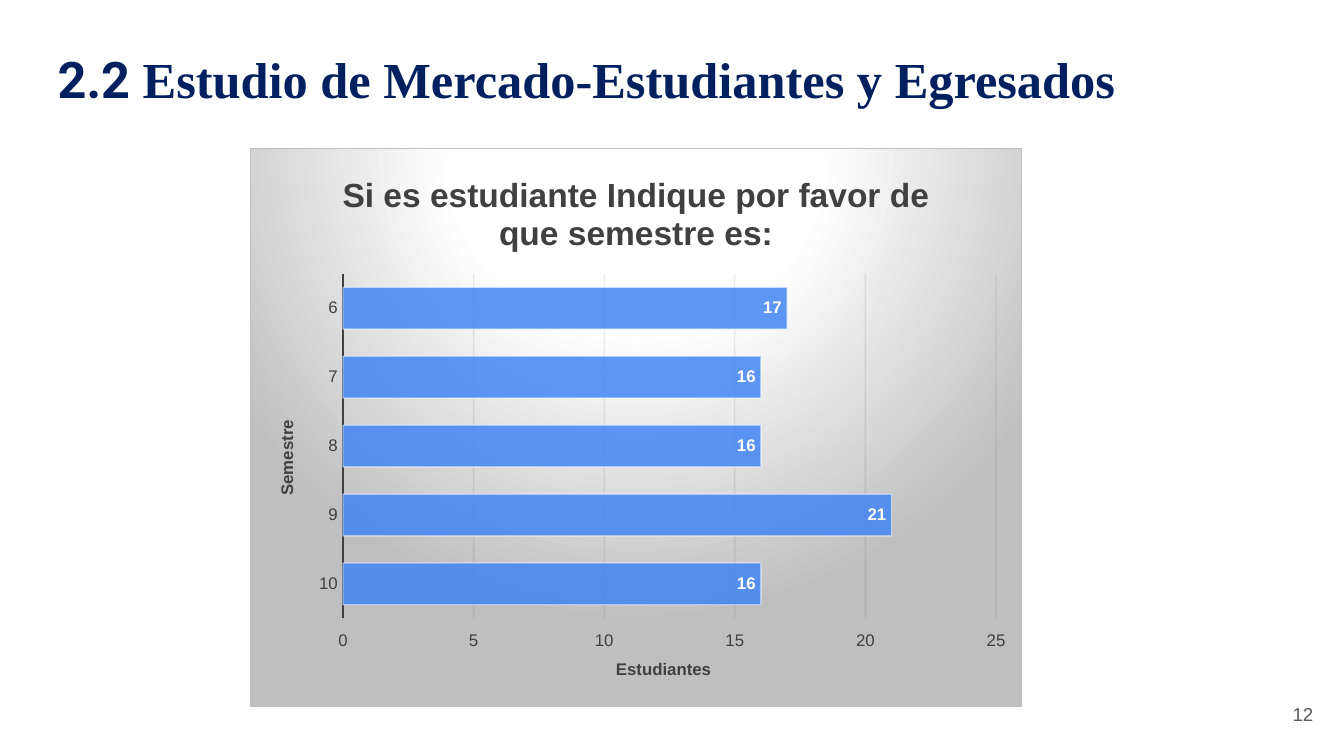
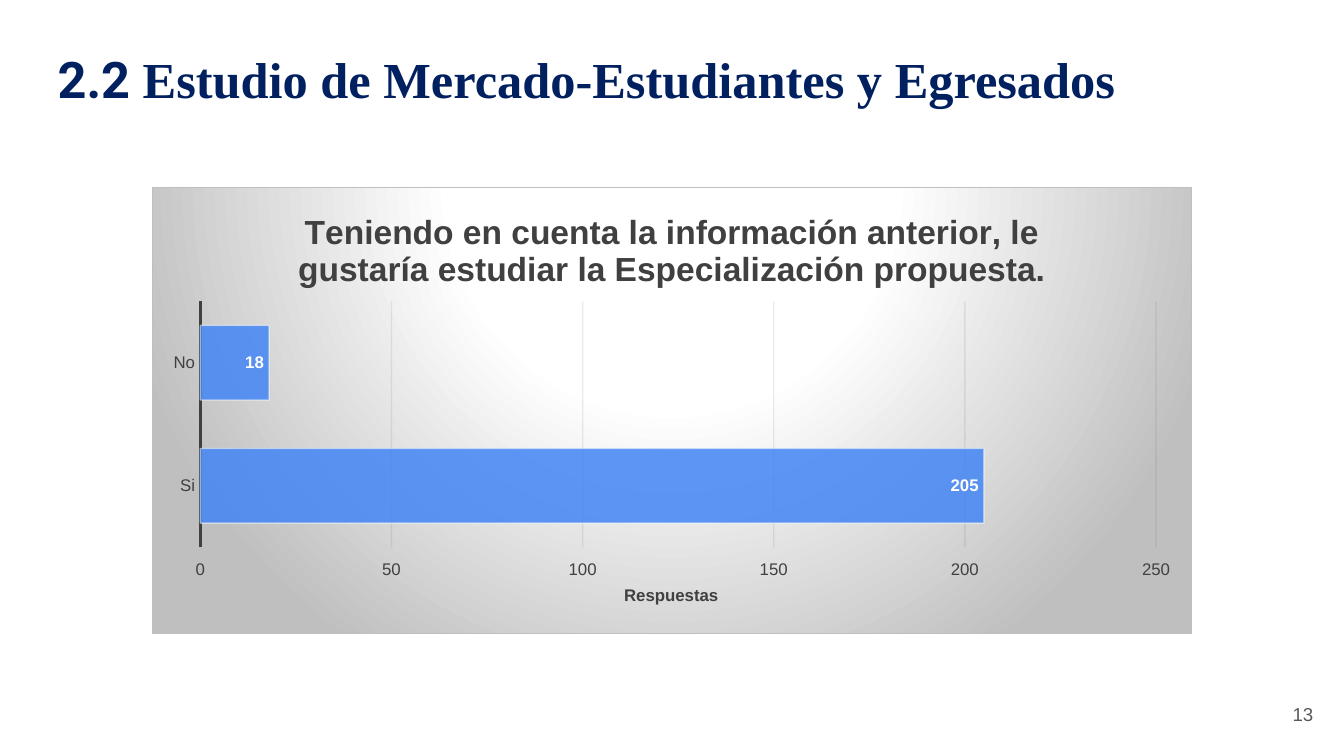
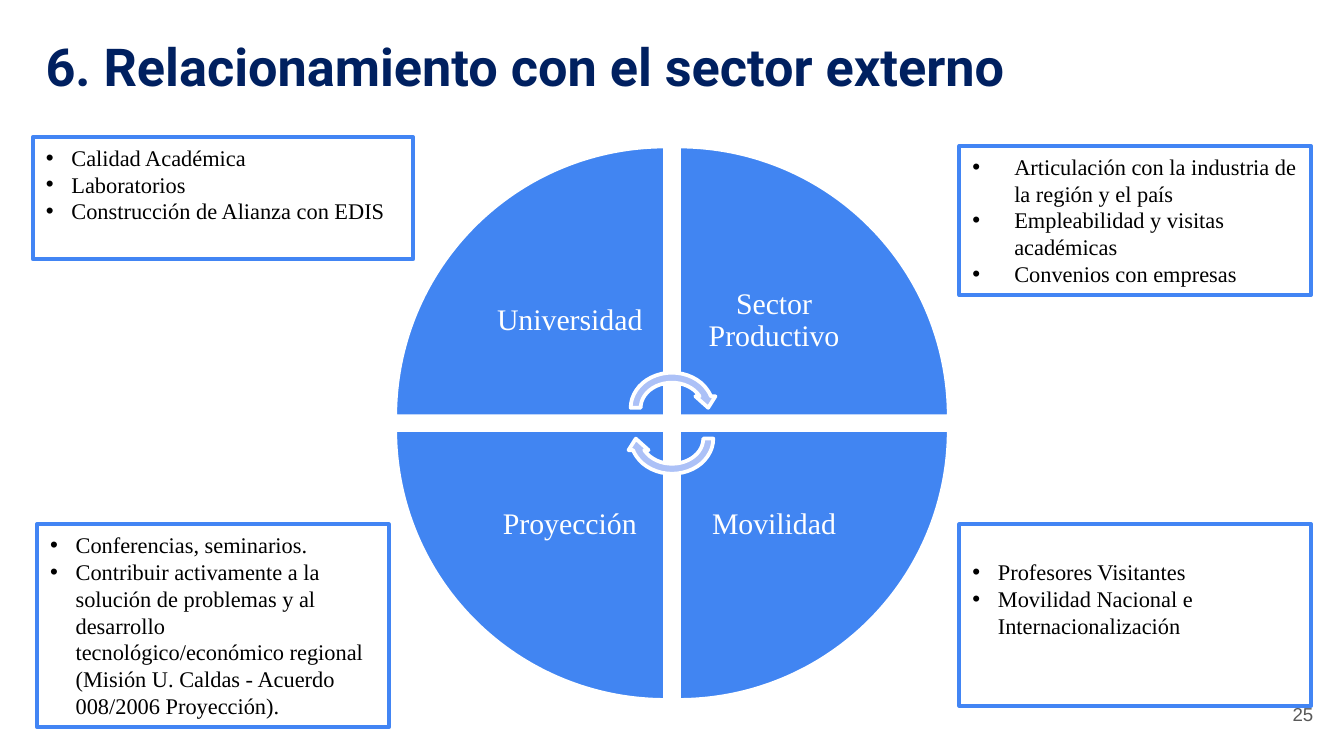
from lxml import etree
from pptx import Presentation
from pptx.chart.data import CategoryChartData
from pptx.dml.color import RGBColor
from pptx.enum.chart import (XL_CHART_TYPE, XL_LABEL_POSITION, XL_TICK_MARK,
                             XL_TICK_LABEL_POSITION)
from pptx.enum.shapes import MSO_SHAPE
from pptx.enum.text import MSO_ANCHOR, MSO_AUTO_SIZE, PP_ALIGN
from pptx.oxml import parse_xml
from pptx.oxml.ns import nsdecls, qn
from pptx.util import Cm, Pt

# Shared style
NAVY = RGBColor(0x00, 0x20, 0x60)
BLUE = RGBColor(0x42, 0x85, 0xF4)
WEDGE = RGBColor(0x41, 0x85, 0xF2)
PALE = RGBColor(0xAC, 0xC1, 0xF7)
WHITE = RGBColor(0xFF, 0xFF, 0xFF)
BLACK = RGBColor(0x00, 0x00, 0x00)
DARK = RGBColor(0x40, 0x40, 0x40)
GREY = RGBColor(0x59, 0x59, 0x59)
GRID = RGBColor(0x0D, 0x0D, 0x0D)
SERIF, SANS, HEAD = "Times New Roman", "Arial", "Roboto"

# Content: lengths in cm, chart layouts in percent of the chart
STUDY = [("2.2 ", HEAD), ("Estudio de Mercado-Estudiantes y Egresados", SERIF)]
CHARTS = [
    dict(page="12", at=(4.72, 2.79, 14.6, 10.57),
         title="Si es estudiante Indique por favor de que semestre es:",
         data={"6": 17, "7": 16, "8": 16, "9": 21, "10": 16},
         plot=(12, 22.5, 84.7, 61.8), top=25, step=5,
         side=("Semestre", (2.9, 48.2)), foot=("Estudiantes", (47, 90.9))),
    dict(page="13", at=(2.87, 3.53, 19.66, 8.46),
         title="Teniendo en cuenta la información anterior, le gustaría "
               "estudiar la Especialización propuesta.",
         data={"No": 18, "Si": 205},
         plot=(4.6, 25.5, 92, 55.2), top=250, step=50,
         side=None, foot=("Respuestas", (45.1, 88.2))),
]
LINKS = [("6. Relacionamiento con el sector externo", HEAD)]
# Clockwise from the upper left, with the side of the hub
PARTS = [("Universidad", -1, -1), ("Sector Productivo", 1, -1),
         ("Movilidad", 1, 1), ("Proyección", -1, 1)]
# Place, bullet indent, top inset, items
NOTES = [
    ((18.13, 2.76, 6.65, 2.82), 0.79, 0.13,
     ["Articulación con la industria de la región y el país",
      "Empleabilidad y visitas académicas", "Convenios con empresas"]),
    ((0.62, 2.59, 7.19, 2.31), 0.48, 0.13,
     ["Calidad Académica", "Laboratorios", "Construcción de Alianza con EDIS"]),
    ((0.7, 9.91, 6.65, 3.84), 0.48, 0.13,
     ["Conferencias, seminarios.",
      "Contribuir activamente a la solución de problemas y al desarrollo "
      "tecnológico/económico regional (Misión U. Caldas - Acuerdo 008/2006 "
      "Proyección)."]),
    ((18.13, 9.91, 6.65, 3.43), 0.48, 0.65,
     ["Profesores Visitantes", "Movilidad Nacional e Internacionalización"]),
]

# Wheel geometry
HUB = (12.7, 8.0)
GAP, RAD, SIDE = 0.13, 5.1, 3.6
TURN = (1.75, 1.52)
DROP = 0.29


def say(par, text, font=SANS, size=9, color=DARK, bold=False,
        align=None, space=None, dent=None):
    """Add a run to a paragraph and format both."""
    if dent:
        props = par._p.get_or_add_pPr()
        props.set("marL", str(Cm(dent)))
        props.set("indent", str(-Cm(dent)))
        etree.SubElement(props, qn("a:buFont")).set("typeface", SANS)
        etree.SubElement(props, qn("a:buChar")).set("char", "•")
    if align is not None:
        par.alignment = align
    if space:
        par.line_spacing = space
    run = par.add_run()
    run.text = text
    run.font.name, run.font.size, run.font.bold = font, Pt(size), bold
    run.font.color.rgb = color


def frame(shape, side=0.25, top=0.25, anchor=MSO_ANCHOR.TOP):
    """Set up the text frame of a shape and return it."""
    body = shape.text_frame
    body.word_wrap, body.auto_size = True, MSO_AUTO_SIZE.NONE
    body.vertical_anchor = anchor
    body.margin_left = body.margin_right = Cm(side)
    body.margin_top, body.margin_bottom = Cm(top), Cm(min(side, top))
    return body


def area(at):
    return [Cm(n) for n in at]


def draw(slide, kind, at, fill, edge, turn=0):
    """Add a preset shape with fill and outline."""
    shape = slide.shapes.add_shape(kind, *area(at))
    shape.rotation = turn
    shape.shadow.inherit = False
    shape.fill.solid()
    shape.fill.fore_color.rgb = fill
    shape.line.color.rgb, shape.line.width = edge, Pt(2)
    return shape


def start(deck, title, at, size, inset):
    """Add a slide with its title."""
    slide = deck.slides.add_slide(deck.slide_layouts[5])
    head = slide.shapes.title
    head.left, head.top, head.width, head.height = area(at)
    par = frame(head, top=inset).paragraphs[0]
    for text, font in title:
        say(par, text, font, size, NAVY, True, PP_ALIGN.LEFT)
    return slide


def number(slide, page):
    box = slide.shapes.add_textbox(*area((23.55, 12.95, 1.52, 1.09)))
    say(frame(box, anchor=MSO_ANCHOR.MIDDLE).paragraphs[0], page,
        size=10, color=GREY, align=PP_ALIGN.RIGHT)


# Charts
def fade(node, share):
    for color in node.iter(qn("a:srgbClr")):
        etree.SubElement(color, qn("a:alpha")).set("val", str(share * 1000))


def place(node, at, index):
    """Give a chart part a fixed layout."""
    for old in node.findall(qn("c:layout")):
        node.remove(old)
    layout = etree.Element(qn("c:layout"))
    manual = etree.SubElement(layout, qn("c:manualLayout"))
    pairs = [("xMode", "edge"), ("yMode", "edge"),
             *((key, round(n / 100, 3)) for key, n in zip("xywh", at))]
    if len(at) == 4:
        pairs.insert(0, ("layoutTarget", "inner"))
    for tag, val in pairs:
        etree.SubElement(manual, qn("c:" + tag)).set("val", str(val))
    node.insert(index, layout)


def name(axis, label, turn):
    text, at = label
    body = axis.axis_title.text_frame
    body._txBody.bodyPr.set("rot", str(turn * 60000))
    say(body.paragraphs[0], text, bold=True)
    place(axis.axis_title._element, at, 1)


def backdrop(chart):
    stops = "".join(f'<a:gs pos="{pos}000"><a:srgbClr val="{tint}"/></a:gs>'
                    for pos, tint in [(0, "FFFFFF"), (39, "FFFFFF"), (100, "BFBFBF")])
    chart._chartSpace.find(qn("c:chart")).addnext(parse_xml(
        f'<c:spPr {nsdecls("c", "a")}><a:gradFill><a:gsLst>{stops}</a:gsLst>'
        '<a:path path="circle"><a:fillToRect l="50000" t="-80000" r="50000" '
        'b="180000"/></a:path></a:gradFill><a:ln w="9525"><a:solidFill>'
        '<a:srgbClr val="BFBFBF"/></a:solidFill></a:ln></c:spPr>'))


def graph(slide, item):
    data = CategoryChartData()
    data.categories = list(item["data"])
    data.add_series("Series 1", list(item["data"].values()))
    chart = slide.shapes.add_chart(
        XL_CHART_TYPE.BAR_CLUSTERED, *area(item["at"]), data).chart
    chart.font.name, chart.font.size, chart.font.color.rgb = SANS, Pt(10), BLACK
    chart.has_legend = False
    say(chart.chart_title.text_frame.paragraphs[0], item["title"],
        size=18, bold=True)
    backdrop(chart)

    # Axes
    cat, val = chart.category_axis, chart.value_axis
    for axis in (cat, val):
        axis.major_tick_mark = axis.minor_tick_mark = XL_TICK_MARK.NONE
        font = axis.tick_labels.font
        font.name, font.size, font.color.rgb = SANS, Pt(9), DARK
    cat.reverse_order = True
    val.tick_label_position = XL_TICK_LABEL_POSITION.HIGH
    cat.format.line.color.rgb, cat.format.line.width = DARK, Pt(1.5)
    val.format.line.fill.background()
    val.minimum_scale, val.maximum_scale = 0, item["top"]
    val.major_unit = item["step"]
    grid = val.major_gridlines.format.line
    grid.color.rgb, grid.width = GRID, Pt(0.75)
    fade(val._element.find(qn("c:majorGridlines")), 7)
    name(val, item["foot"], 0)
    if item["side"]:
        name(cat, item["side"], -90)

    # Bars and labels
    plot = chart.plots[0]
    plot.gap_width, plot.vary_by_categories = 65, False
    bars = plot.series[0]
    bars.format.fill.solid()
    bars.format.fill.fore_color.rgb = BLUE
    fade(bars._element.spPr, 85)
    line = bars.format.line
    line.color.rgb, line.width = WHITE, Pt(0.75)
    fade(bars._element.spPr.find(qn("a:ln")), 50)
    tags = bars.data_labels
    tags.show_value, tags.position = True, XL_LABEL_POSITION.INSIDE_END
    tags.font.name, tags.font.size, tags.font.bold = SANS, Pt(9), True
    tags.font.color.rgb = WHITE
    place(chart._chartSpace.find(".//" + qn("c:plotArea")), item["plot"], 0)


# Wheel
def spot(sx, sy, side):
    """Square of a given side in one quarter, next to the hub."""
    mid = GAP + side / 2
    return (HUB[0] + sx * mid - side / 2, HUB[1] + sy * mid - side / 2, side, side)


def wheel(slide):
    for i, (text, sx, sy) in enumerate(PARTS):
        draw(slide, MSO_SHAPE.PIE_WEDGE, spot(sx, sy, RAD), WEDGE, WHITE, 90 * i)
        box = slide.shapes.add_textbox(*area(spot(sx, sy, SIDE)))
        say(frame(box, 0.3, 0.3, MSO_ANCHOR.MIDDLE).paragraphs[0], text, SERIF,
            16, WHITE, align=PP_ALIGN.CENTER, space=0.9)
    wide, high = TURN
    for sign, turn in ((-1, 0), (1, 180)):
        at = (HUB[0] - wide / 2, HUB[1] + sign * DROP - high / 2, wide, high)
        draw(slide, MSO_SHAPE.CIRCULAR_ARROW, at, PALE, WHITE, turn)


def note(slide, at, dent, top, items):
    body = frame(draw(slide, MSO_SHAPE.RECTANGLE, at, WHITE, BLUE), top=top)
    for i, text in enumerate(items):
        par = body.add_paragraph() if i else body.paragraphs[0]
        say(par, text, SERIF, 12, BLACK, align=PP_ALIGN.LEFT, dent=dent)


def main():
    deck = Presentation()
    deck.slide_width, deck.slide_height = Cm(25.4), Cm(14.29)
    for item in CHARTS:
        slide = start(deck, STUDY, (0.84, 0.78, 22.25, 1.42), 27, 0.13)
        graph(slide, item)
        number(slide, item["page"])
    slide = start(deck, LINKS, (0.61, 0.39, 23.67, 1.7), 28, 0.25)
    wheel(slide)
    for entry in NOTES:
        note(slide, *entry)
    number(slide, "25")
    deck.save("out.pptx")


if __name__ == "__main__":
    main()
